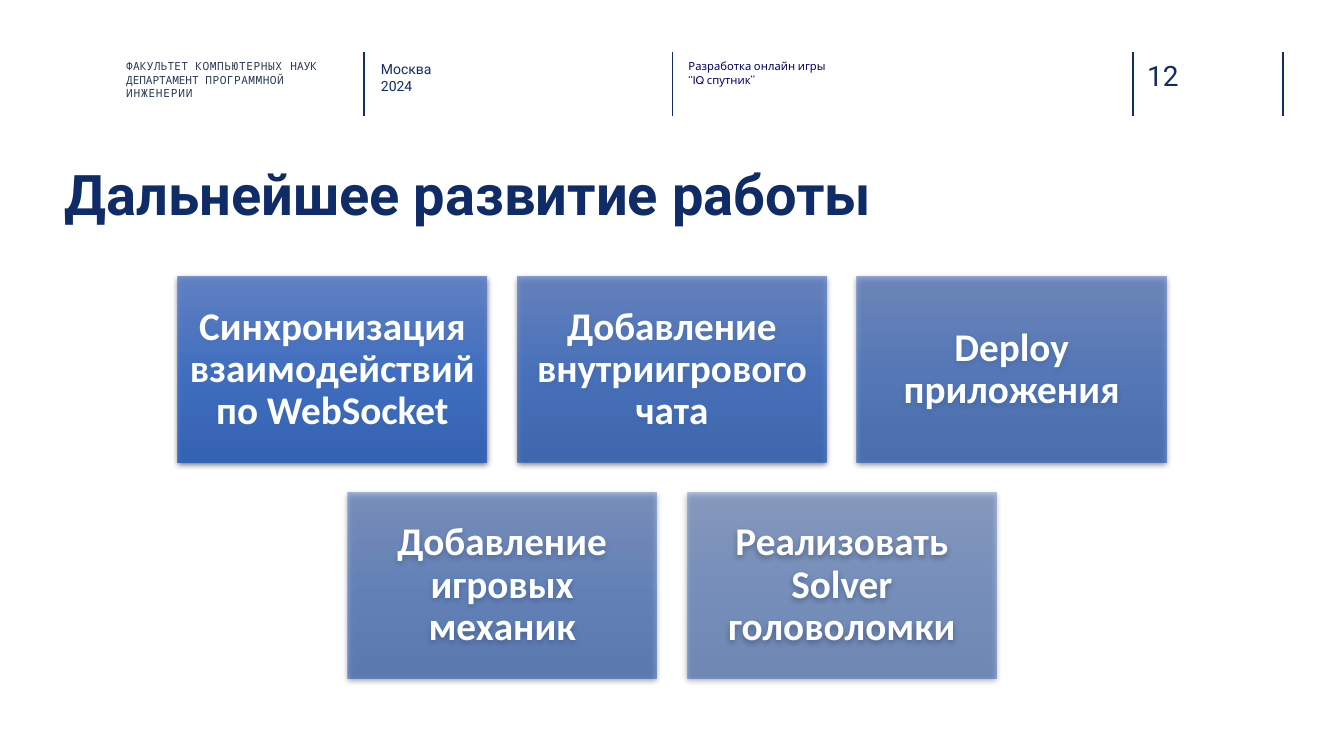
from lxml import etree
from pptx import Presentation
from pptx import util as u
from pptx.dml.color import RGBColor
from pptx.enum import shapes, text
from pptx.oxml import parse_xml
from pptx.oxml.ns import nsdecls, qn

NAVY = "102D69"
NO_WRAP_GAP = 0


def write(holder, lines, font, size, color, bold=False, align=text.PP_ALIGN.LEFT,
          anchor=text.MSO_ANCHOR.TOP, inset=0, leading=1.0):
    """Each line is a list of (words, letter spacing in points)."""
    frame = holder.text_frame
    frame.word_wrap = True
    frame.auto_size = text.MSO_AUTO_SIZE.NONE
    frame.vertical_anchor = anchor
    frame.margin_left = frame.margin_right = u.Cm(inset)
    frame.margin_top = frame.margin_bottom = u.Cm(inset)
    for number, line in enumerate(lines):
        paragraph = frame.add_paragraph() if number else frame.paragraphs[0]
        paragraph.alignment = align
        paragraph.line_spacing = leading
        paragraph.space_before = paragraph.space_after = u.Pt(0)
        properties = paragraph._p.get_or_add_pPr()
        properties.set("marL", "0")
        properties.set("indent", "0")
        etree.SubElement(properties, qn("a:buNone"))
        for words, spacing in line:
            run = paragraph.add_run()
            run.text = words
            run.font.name = font
            run.font.size = u.Pt(size)
            run.font.bold = bold
            run.font.color.rgb = RGBColor.from_string(color)
            if spacing:
                run._r.get_or_add_rPr().set("spc", str(round(spacing * 100)))


def place(holder, left, top, width, height):
    holder.left, holder.top = u.Cm(left), u.Cm(top)
    holder.width, holder.height = u.Cm(width), u.Cm(height)
    return holder


prs = Presentation()
prs.slide_width, prs.slide_height = u.Cm(33.87), u.Cm(19.05)
slide = prs.slides.add_slide(prs.slide_layouts[3])
title, faculty, city = slide.placeholders

# Header dividers
for x in (9.17, 16.94, 28.55, 32.33):
    divider = slide.shapes.add_connector(
        shapes.MSO_CONNECTOR.STRAIGHT, u.Cm(x), u.Cm(1.3), u.Cm(x), u.Cm(2.92))
    divider.line.color.rgb = RGBColor.from_string(NAVY)
    divider.line.width = u.Pt(1)
    etree.SubElement(divider._element.spPr, qn("a:effectLst"))

# Header texts
write(place(faculty, 3.18, 1.5, 5.28, 1.14),
      [[("ФАКУЛЬТЕТ ", 0.1), ("КОМПЬЮТЕРНЫХ ", 0.4), ("НАУК", 0)],
       [("ДЕПАРТАМЕНТ ", -0.1), ("ПРОГРАММНОЙ ", 0.3), ("ИНЖЕНЕРИИ", 0.5)]],
      "Noto Sans Mono", 8, "263754")
write(place(city, 9.6, 1.52, 5.74, 1.14),
      [[("Москва", 0)], [("2024", 0)]], "Roboto", 10, "0E2D69")
project = slide.shapes.add_textbox(u.Cm(17.35), u.Cm(1.5), u.Cm(11.02), u.Cm(1.14))
write(project, [[("Разработка онлайн игры", 0)], [("“IQ спутник”", 0)]],
      "Cabin", 8, "000066")
page_number = slide.shapes.add_textbox(u.Cm(28.91), u.Cm(1.47), u.Cm(1.85), u.Cm(0.86))
write(page_number, [[("12", 0)]], "Roboto", 20, NAVY)

# Title
write(place(title, 1.63, 4.01, 30.71, 2.16),
      [[("Дальнейшее развитие работы", 0)]], "Roboto", 40, "0F2C68", bold=True)

# Plans: centred rows of cards, each card 10 % more transparent than the last
plan_rows = [
    ["Синхронизация взаимодействий по WebSocket", "Добавление внутриигрового чата",
     "Deploy приложения"],
    ["Добавление игровых механик", "Реализовать Solver головоломки"],
]
card_width, card_height, gap, first_top = 7.79, 4.67, 0.77, 6.98
opacity = 90
for row, plans in enumerate(plan_rows):
    row_width = len(plans) * (card_width + gap) - gap
    row_left = (33.87 - row_width) / 2
    for column, plan in enumerate(plans):
        card = slide.shapes.add_shape(
            shapes.MSO_SHAPE.RECTANGLE,
            u.Cm(row_left + column * (card_width + gap)),
            u.Cm(first_top + row * (card_height + gap)),
            u.Cm(card_width), u.Cm(card_height))
        card.line.fill.background()
        stops = "".join(
            f'<a:gs pos="{position}"><a:srgbClr val="{color}">'
            f'<a:alpha val="{opacity * 1000}"/></a:srgbClr></a:gs>'
            for position, color in ((0, "6183CB"), (50000, "3E70CA"), (100000, "3062BB")))
        gradient = parse_xml(f'<a:gradFill {nsdecls("a")} rotWithShape="1"><a:gsLst>{stops}'
                             '</a:gsLst><a:lin ang="5400000" scaled="0"/></a:gradFill>')
        shadow = parse_xml(
            f'<a:effectLst {nsdecls("a")}><a:outerShdw blurRad="{u.Pt(4.5)}" '
            f'dist="{u.Pt(1.5)}" dir="5400000" algn="ctr" rotWithShape="0">'
            '<a:srgbClr val="000000"><a:alpha val="63000"/></a:srgbClr>'
            '</a:outerShdw></a:effectLst>')
        card._element.spPr.find(qn("a:prstGeom")).addnext(gradient)
        card._element.spPr.append(shadow)
        write(card, [[(plan, 0)]], "Calibri", 28, "FFFFFF", bold=True,
              align=text.PP_ALIGN.CENTER, anchor=text.MSO_ANCHOR.MIDDLE,
              inset=0.2, leading=0.9)
        opacity -= 10

prs.save("out.pptx")
